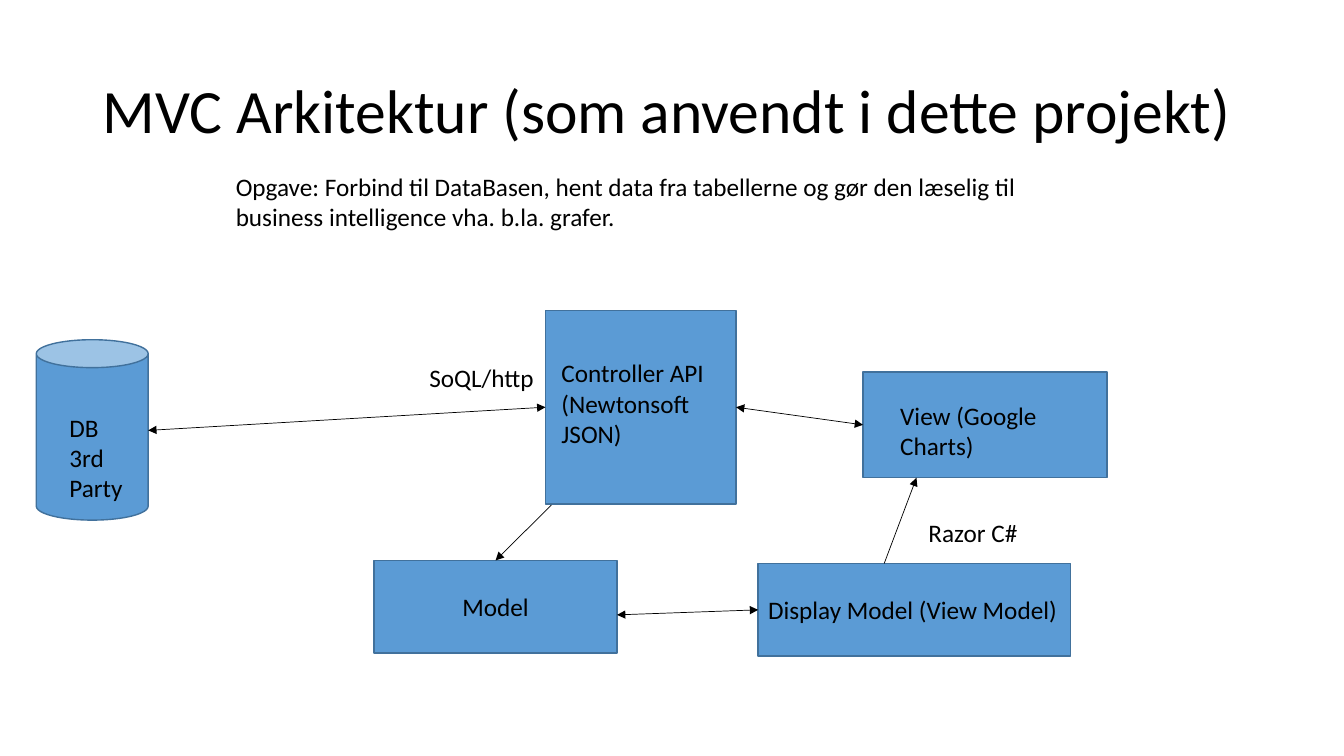
import pptx
import pptx.util
from lxml import etree
from pptx.dml.color import RGBColor
from pptx.enum.shapes import MSO_CONNECTOR, MSO_SHAPE
from pptx.enum.text import MSO_ANCHOR, MSO_AUTO_SIZE, PP_ALIGN
from pptx.oxml.ns import qn

EMU_PER_PX = 9144
TOP, LEFT, BOTTOM, RIGHT = range(4)


def px(*lengths):
    """Turn px lengths into EMU."""
    return [pptx.util.Emu(length * EMU_PER_PX) for length in lengths]


class Diagram:
    FONT = "Calibri"
    TITLE_SIZE, TEXT_SIZE = 44, 18
    COLOURS = {"text": "000000", "fill": "5B9BD5", "outline": "41719C", "arrow": "000000"}

    def __init__(self, slide):
        self.slide = slide

    def colour(self, name):
        return RGBColor.from_string(self.COLOURS[name])

    def set_text(self, frame, text, size=TEXT_SIZE, align=PP_ALIGN.LEFT):
        frame.text = text
        frame.word_wrap = True
        for paragraph in frame.paragraphs:
            paragraph.alignment = align
            paragraph.font.name = self.FONT
            paragraph.font.size = pptx.util.Pt(size)
            paragraph.font.color.rgb = self.colour("text")

    def title(self, text, left, top, width, height):
        heading = self.slide.shapes.title
        heading.left, heading.top, heading.width, heading.height = px(left, top, width, height)
        frame = heading.text_frame
        self.set_text(frame, text, self.TITLE_SIZE)
        frame.auto_size = MSO_AUTO_SIZE.NONE
        frame.vertical_anchor = MSO_ANCHOR.MIDDLE
        frame.paragraphs[0].line_spacing = 0.9

    def label(self, text, left, top, width, height):
        frame = self.slide.shapes.add_textbox(*px(left, top, width, height)).text_frame
        self.set_text(frame, text)
        frame.auto_size = MSO_AUTO_SIZE.SHAPE_TO_FIT_TEXT

    def node(self, left, top, width, height, text="", kind=MSO_SHAPE.RECTANGLE):
        shape = self.slide.shapes.add_shape(kind, *px(left, top, width, height))
        shape.shadow.inherit = False
        shape.fill.solid()
        shape.fill.fore_color.rgb = self.colour("fill")
        shape.line.color.rgb = self.colour("outline")
        shape.line.width = pptx.util.Pt(1)
        if text:
            self.set_text(shape.text_frame, text, align=PP_ALIGN.CENTER)
            shape.text_frame.vertical_anchor = MSO_ANCHOR.MIDDLE
        return shape

    def arrow(self, start, end, start_joint=None, end_joint=None, two_way=False):
        """Draw an arrow between points; a joint is a (node, side) pair to attach to."""
        connector = self.slide.shapes.add_connector(MSO_CONNECTOR.STRAIGHT, *px(*start, *end))
        if start_joint:
            connector.begin_connect(*start_joint)
        if end_joint:
            connector.end_connect(*end_joint)
        connector.line.color.rgb = self.colour("arrow")
        connector.line.width = pptx.util.Pt(0.5)
        properties = connector.element.spPr
        line = properties.find(qn("a:ln"))
        for tip in ("a:headEnd", "a:tailEnd") if two_way else ("a:tailEnd",):
            etree.SubElement(line, qn(tip), type="triangle")
        etree.SubElement(properties, qn("a:effectLst"))


def main():
    presentation = pptx.Presentation()
    presentation.slide_width, presentation.slide_height = px(1333, 750)
    title_only = presentation.slide_layouts.get_by_name("Title Only")
    diagram = Diagram(presentation.slides.add_slide(title_only))

    diagram.title("MVC Arkitektur (som anvendt i dette projekt)", 92, 40, 1150, 145)

    diagram.node(36, 337, 111, 179, kind=MSO_SHAPE.CAN)
    controller = diagram.node(541, 308, 189, 192)
    model = diagram.node(371, 556, 241, 92, "Model")
    display_model = diagram.node(752, 559, 310, 92)
    view = diagram.node(856, 369, 242, 105)

    for label in (
        ("DB\n3rd\nParty", 59, 404, 79, 101),
        ("Controller API\n(Newtonsoft JSON)", 547, 350, 169, 101),
        ("Display Model (View Model)", 752, 585, 310, 40),
        ("View (Google Charts)", 883, 392, 205, 71),
        ("SoQL/http", 416, 355, 131, 40),
        ("Razor C#", 911, 508, 301, 40),
        ("Opgave: Forbind til DataBasen, hent data fra tabellerne og gør den læselig til "
         "business intelligence vha. b.la. grafer.", 224, 165, 882, 71),
    ):
        diagram.label(*label)

    diagram.arrow((877, 559), (909, 474))
    diagram.arrow((856, 421), (730, 404), (view, LEFT), (controller, RIGHT), two_way=True)
    diagram.arrow((547, 501), (492, 556), end_joint=(model, TOP))
    diagram.arrow((752, 605), (612, 610), (display_model, LEFT), two_way=True)
    diagram.arrow((541, 404), (147, 427), (controller, LEFT), two_way=True)

    presentation.save("out.pptx")


if __name__ == "__main__":
    main()
